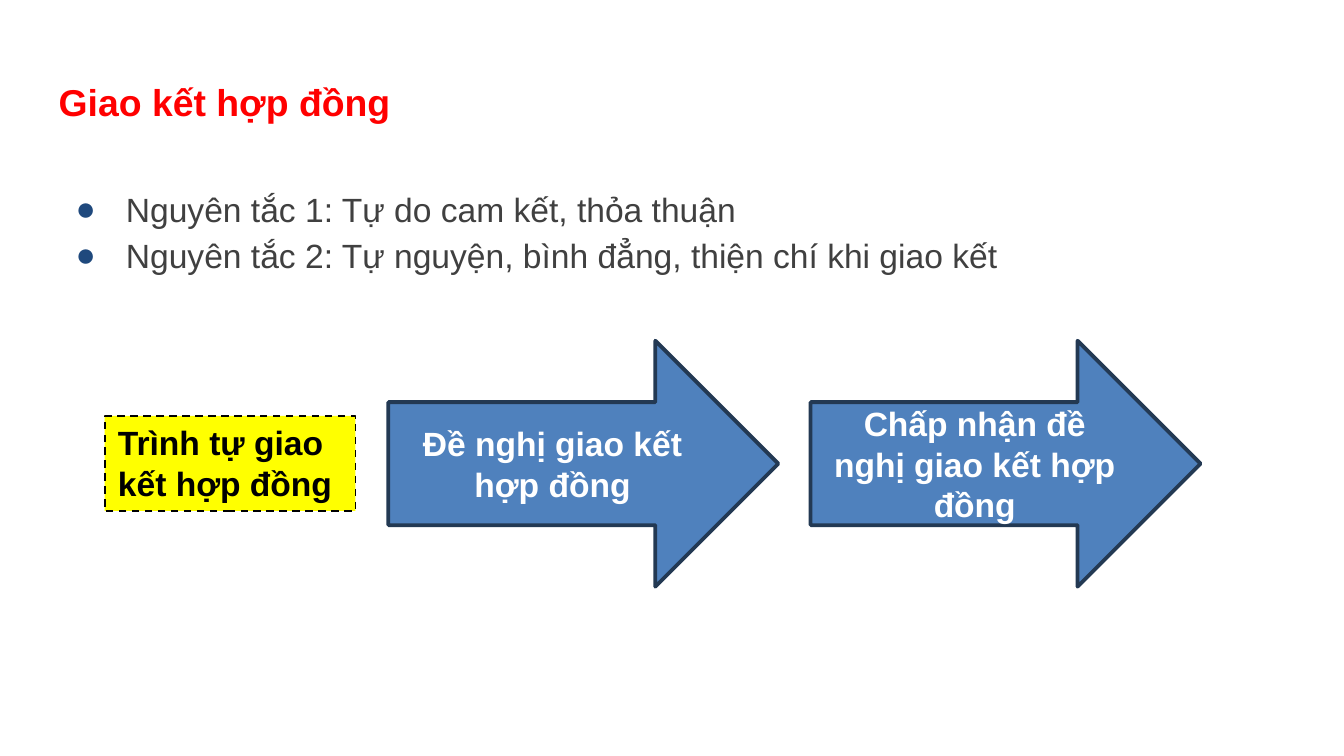
from lxml.etree import SubElement
from pptx import Presentation
from pptx.dml.color import RGBColor
from pptx.enum.dml import MSO_LINE
from pptx.enum.shapes import MSO_SHAPE
from pptx.enum.text import MSO_ANCHOR, PP_ALIGN
from pptx.oxml.ns import qn
from pptx.util import Cm, Pt

COLORS = {
    "title": "FF0000",
    "body": "404040",
    "bullet": "1F497D",
    "arrow": "4F81BD",
    "outline": "233953",
    "label": "FFFF00",
    "black": "000000",
    "white": "FFFFFF",
}


class ContractSlide:
    """Holds the text style and the current slide, and draws each kind of element."""

    font_name = "Arial"
    text_size = 18

    def __init__(self, page):
        self.page = page

    def color(self, name):
        return RGBColor.from_string(COLORS[name])

    def style(self, para, color, size=text_size, bold=False):
        for span in para.runs:
            span.font.name = self.font_name
            span.font.size = Pt(size)
            span.font.bold = bold
            span.font.color.rgb = self.color(color)

    def text_box(self, left, top, width, height, text):
        frame = self.page.shapes.add_textbox(Cm(left), Cm(top), Cm(width), Cm(height)).text_frame
        frame.word_wrap = True
        frame.margin_left = frame.margin_right = Cm(0.25)
        frame.margin_top = frame.margin_bottom = Cm(0.25)
        frame.text = text
        return frame

    def title(self, left, top, width, height, text):
        frame = self.text_box(left, top, width, height, text)
        self.style(frame.paragraphs[0], "title", 20, True)

    def bullets(self, left, top, width, height, items):
        frame = self.text_box(left, top, width, height, "\n".join(items))
        for para in frame.paragraphs:
            para.line_spacing = 1.15
            properties = para._p.get_or_add_pPr()
            properties.set("marL", str(Cm(1.27)))
            properties.set("indent", str(Cm(-0.95)))
            bullet_color = SubElement(properties, qn("a:buClr"))
            SubElement(bullet_color, qn("a:srgbClr"), val=COLORS["bullet"])
            SubElement(properties, qn("a:buFont"), typeface=self.font_name)
            SubElement(properties, qn("a:buChar"), char="●")
            self.style(para, "body")

    def shape(self, kind, left, top, width, height, text, fill, line, line_width, ink, align):
        box = self.page.shapes.add_shape(kind, Cm(left), Cm(top), Cm(width), Cm(height))
        box.shadow.inherit = False
        box.fill.solid()
        box.fill.fore_color.rgb = self.color(fill)
        box.line.color.rgb = self.color(line)
        box.line.width = Pt(line_width)
        frame = box.text_frame
        frame.word_wrap = True
        frame.vertical_anchor = MSO_ANCHOR.MIDDLE
        frame.text = text
        para = frame.paragraphs[0]
        para.alignment = align
        self.style(para, ink, bold=True)
        return box

    def arrow(self, left, top, width, height, text):
        self.shape(MSO_SHAPE.RIGHT_ARROW, left, top, width, height, text,
                   "arrow", "outline", 2, "white", PP_ALIGN.CENTER)

    def label(self, left, top, width, height, text):
        box = self.shape(MSO_SHAPE.RECTANGLE, left, top, width, height, text,
                         "label", "black", 1, "black", PP_ALIGN.LEFT)
        box.line.dash_style = MSO_LINE.DASH
        box.text_frame.vertical_anchor = MSO_ANCHOR.TOP


def main():
    deck = Presentation()
    deck.slide_width, deck.slide_height = Cm(25.4), Cm(14.29)
    slide = ContractSlide(deck.slides.add_slide(deck.slide_layouts[6]))
    slide.title(0.86, 1.24, 23.67, 1.6, "Giao kết hợp đồng")
    slide.bullets(0.86, 3.2, 23.67, 2.67, [
        "Nguyên tắc 1: Tự do cam kết, thỏa thuận",
        "Nguyên tắc 2: Tự nguyện, bình đẳng, thiện chí khi giao kết",
    ])
    steps = ["Đề nghị giao kết hợp đồng", "Chấp nhận đề nghị giao kết hợp đồng"]
    for index, step in enumerate(steps):
        slide.arrow(7.34 + 7.98 * index, 6.44, 7.37, 4.65, step)
    slide.label(1.98, 7.86, 4.74, 1.8, "Trình tự giao kết hợp đồng")
    deck.save("out.pptx")


if __name__ == "__main__":
    main()
